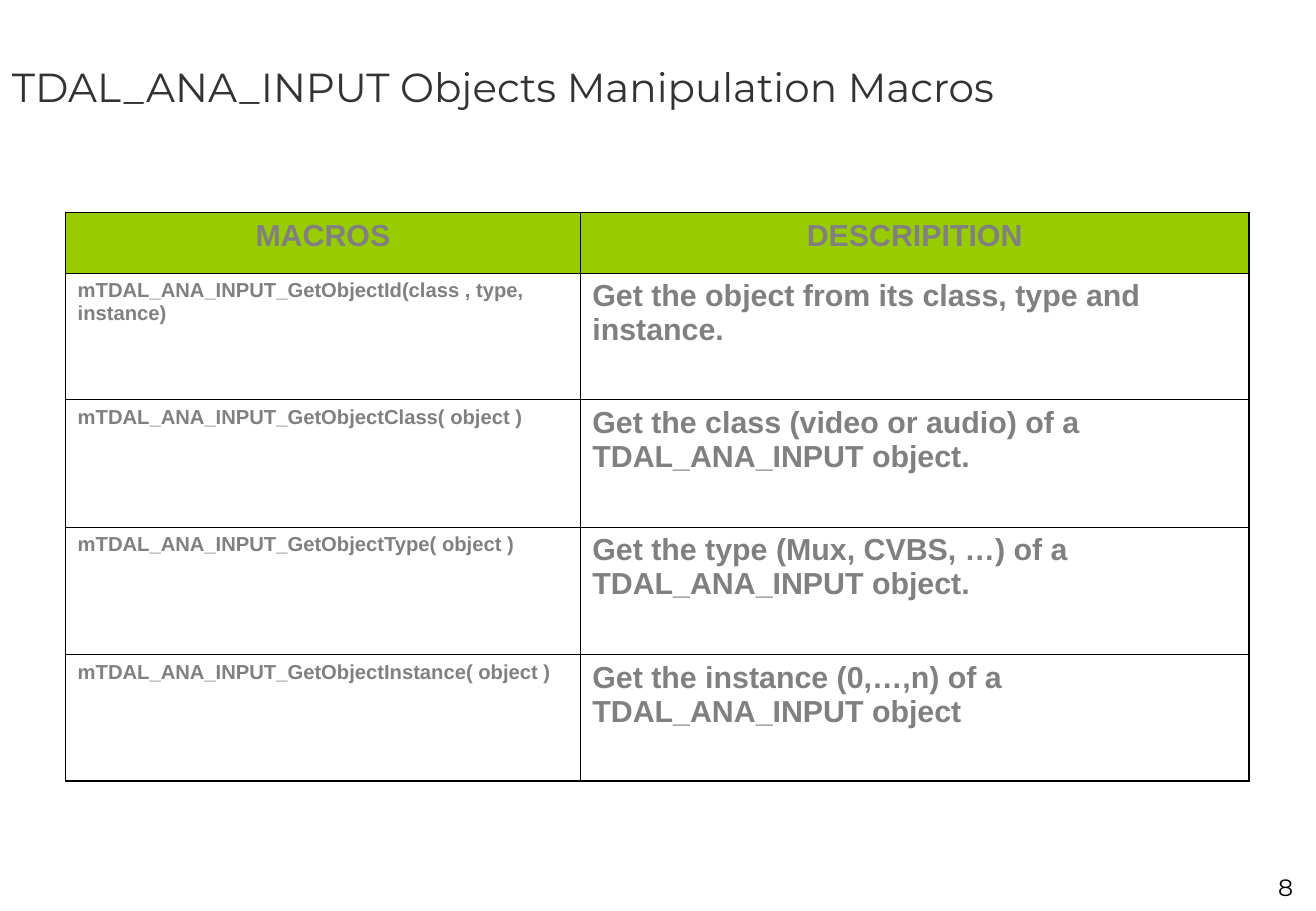
from lxml.etree import SubElement
from pptx import Presentation
from pptx.dml.color import RGBColor
from pptx.enum.text import MSO_ANCHOR as ANCHOR, PP_ALIGN as ALIGN
from pptx.oxml.ns import qn
from pptx.util import Inches, Pt

BLACK = RGBColor(0x00, 0x00, 0x00)
CHARCOAL = RGBColor(0x33, 0x33, 0x33)
GREY = RGBColor(0x80, 0x80, 0x80)
GREEN = RGBColor(0x99, 0xCC, 0x00)

THIN, THICK = Pt(0.45), Pt(1.08)

COL_WIDTHS = [4.24, 5.51]
ROW_HEIGHTS = [0.5, 1.04, 1.05, 1.05, 1.04]
ROWS = [
    ("MACROS", "DESCRIPITION"),
    ("mTDAL_ANA_INPUT_GetObjectId(class , type, instance)",
     "Get the object from its class, type and instance."),
    ("mTDAL_ANA_INPUT_GetObjectClass( object )",
     "Get the class (video or audio) of a TDAL_ANA_INPUT object."),
    ("mTDAL_ANA_INPUT_GetObjectType( object )",
     "Get the type (Mux, CVBS, …) of a TDAL_ANA_INPUT object."),
    ("mTDAL_ANA_INPUT_GetObjectInstance( object )",
     "Get the instance (0,…,n) of a TDAL_ANA_INPUT object"),
]


class SlideBuilder:
    heading_font = "Montserrat"
    table_font = "Arial"

    def __init__(self, slide):
        self.slide = slide

    def fill_text(self, tf, text, color, font, para):
        p = tf.paragraphs[0]
        for name, value in para.items():
            setattr(p, name, value)
        r = p.add_run()
        r.text = text
        for name, value in font.items():
            setattr(r.font, name, value)
        r.font.color.rgb = color

    def text(self, box, text, size, color, anchor, align):
        sp = self.slide.shapes.add_textbox(*map(Inches, box))
        tf = sp.text_frame
        tf.word_wrap = True
        tf.vertical_anchor = anchor
        font = {"name": self.heading_font, "size": Pt(size)}
        self.fill_text(tf, text, color, font, {"alignment": align})

    def borders(self, cell, widths):
        # Border lines come before the fill in the cell properties
        tc_pr = cell._tc.get_or_add_tcPr()
        for i, (side, width) in enumerate(widths.items()):
            ln = SubElement(tc_pr, qn(f"a:ln{side}"), w=str(width))
            fill = SubElement(ln, qn("a:solidFill"))
            SubElement(fill, qn("a:srgbClr"), val=str(BLACK))
            tc_pr.insert(i, ln)

    def table(self, left, top, rows, col_widths, row_heights):
        n_rows, n_cols = len(rows), len(col_widths)
        size = sum(col_widths), sum(row_heights)
        table = self.slide.shapes.add_table(
            n_rows, n_cols, *map(Inches, (left, top, *size))).table
        table.horz_banding = False
        for col, width in zip(table.columns, col_widths):
            col.width = Inches(width)
        for row, height in zip(table.rows, row_heights):
            row.height = Inches(height)

        for i, row in enumerate(rows):
            for j, text in enumerate(row):
                cell = table.cell(i, j)
                header = i == 0
                if header:
                    cell.fill.solid()
                    cell.fill.fore_color.rgb = GREEN
                else:
                    cell.fill.background()
                # Macro names are smaller than headers and descriptions
                pts = 18 if header or j else 12
                self.fill_text(
                    cell.text_frame, text, GREY,
                    {"name": self.table_font, "size": Pt(pts), "bold": True},
                    {"alignment": ALIGN.CENTER if header else ALIGN.LEFT,
                     "space_before": Pt(pts / 4)})
                # Thick frame outside, thin lines inside
                outer = {"L": j == 0, "R": j == n_cols - 1,
                         "T": header, "B": i == n_rows - 1}
                self.borders(cell, {side: THICK if edge else THIN
                                    for side, edge in outer.items()})


def main():
    prs = Presentation()
    prs.slide_width, prs.slide_height = Inches(10.84), Inches(7.5)
    s = SlideBuilder(prs.slides.add_slide(prs.slide_layouts[6]))

    # Title
    s.text((0, 0, 10.83, 1.42), "TDAL_ANA_INPUT Objects Manipulation Macros",
           24, CHARCOAL, ANCHOR.MIDDLE, ALIGN.LEFT)

    # Macro table
    s.table(0.54, 1.75, ROWS, COL_WIDTHS, ROW_HEIGHTS)

    # Page number
    s.text((9.59, 7.14, 1.16, 0.33), "8", 14, BLACK, ANCHOR.TOP, ALIGN.RIGHT)

    prs.save("out.pptx")


if __name__ == "__main__":
    main()
